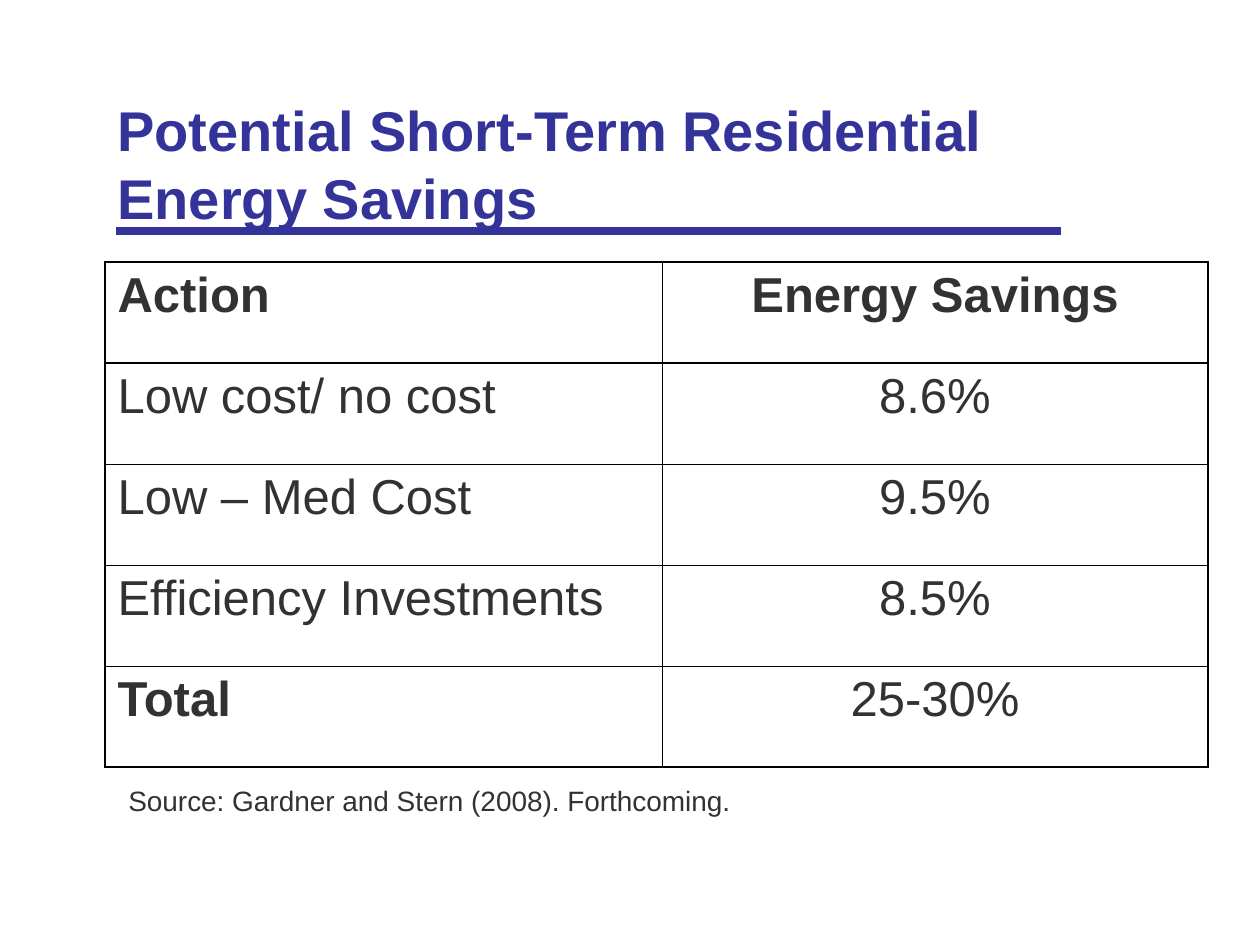
from lxml.etree import SubElement
from pptx import Presentation
from pptx.dml.color import RGBColor
from pptx.enum.shapes import MSO_CONNECTOR
from pptx.enum.text import MSO_ANCHOR, PP_ALIGN
from pptx.oxml.ns import qn
from pptx.util import Emu, Pt

FONT = "Arial"
BLUE, DARK, BLACK = "333399", "323232", "000000"
THIN, THICK = 0.45, 1.08


def px(n):
    return Emu(round(n * 914400 / 126))


def rgb(value):
    return RGBColor.from_string(value)


def write(tf, text, size=28, color=DARK, bold=False, align=PP_ALIGN.LEFT):
    p = tf.paragraphs[0]
    p.alignment = align
    r = p.add_run()
    r.text = text
    r.font.name, r.font.size, r.font.bold = FONT, Pt(size), bold
    r.font.color.rgb = rgb(color)


def set_border(cell, side, width):
    ln = SubElement(cell._tc.get_or_add_tcPr(), qn(f"a:ln{side}"), w=str(Pt(width)))
    SubElement(SubElement(ln, qn("a:solidFill")), qn("a:srgbClr"), val=BLACK)


class Deck:
    def __init__(self, width, height):
        self.prs = Presentation()
        self.prs.slide_width, self.prs.slide_height = px(width), px(height)
        self.s = self.prs.slides.add_slide(self.prs.slide_layouts[6])

    def text(self, x, y, w, h, text, anchor=MSO_ANCHOR.TOP, **style):
        tf = self.s.shapes.add_textbox(px(x), px(y), px(w), px(h)).text_frame
        tf.word_wrap = True
        tf.vertical_anchor = anchor
        write(tf, text, **style)

    def line(self, x1, y1, x2, y2, color, width):
        c = self.s.shapes.add_connector(
            MSO_CONNECTOR.STRAIGHT, px(x1), px(y1), px(x2), px(y2))
        c.line.color.rgb, c.line.width = rgb(color), Pt(width)
        SubElement(c._element.spPr, qn("a:effectLst"))

    def table(self, x, y, widths, row_height, rows, bold_cells):
        n, m = len(rows), len(widths)
        table = self.s.shapes.add_table(
            n, m, px(x), px(y), px(sum(widths)), px(row_height * n)).table
        for column, width in zip(table.columns, widths):
            column.width = px(width)
        for i, row in enumerate(rows):
            table.rows[i].height = px(row_height)
            for j, text in enumerate(row):
                cell = table.cell(i, j)
                write(cell.text_frame, text, bold=(i, j) in bold_cells,
                      align=PP_ALIGN.CENTER if j else PP_ALIGN.LEFT)
                # Outer edges and the header rule are heavier
                heavy = {"L": j == 0, "R": j == m - 1,
                         "T": i <= 1, "B": i in (0, n - 1)}
                for side, is_heavy in heavy.items():
                    set_border(cell, side, THICK if is_heavy else THIN)
                cell.fill.background()


def main():
    deck = Deck(1260, 945)

    # Title and rule
    deck.text(105, 84, 1092, 158, "Potential Short-Term Residential Energy Savings",
              anchor=MSO_ANCHOR.MIDDLE, size=32, color=BLUE, bold=True)
    deck.line(116, 231, 1061, 231, BLUE, 4.25)

    # Savings table
    rows = [
        ("Action", "Energy Savings"),
        ("Low cost/ no cost", "8.6%"),
        ("Low – Med Cost", "9.5%"),
        ("Efficiency Investments", "8.5%"),
        ("Total", "25-30%"),
    ]
    deck.table(105, 262, (557, 546), 101, rows, {(0, 0), (0, 1), (4, 0)})

    # Source line
    deck.text(116, 777, 746, 47, "Source: Gardner and Stern (2008). Forthcoming.", size=16)

    deck.prs.save("out.pptx")


if __name__ == "__main__":
    main()
